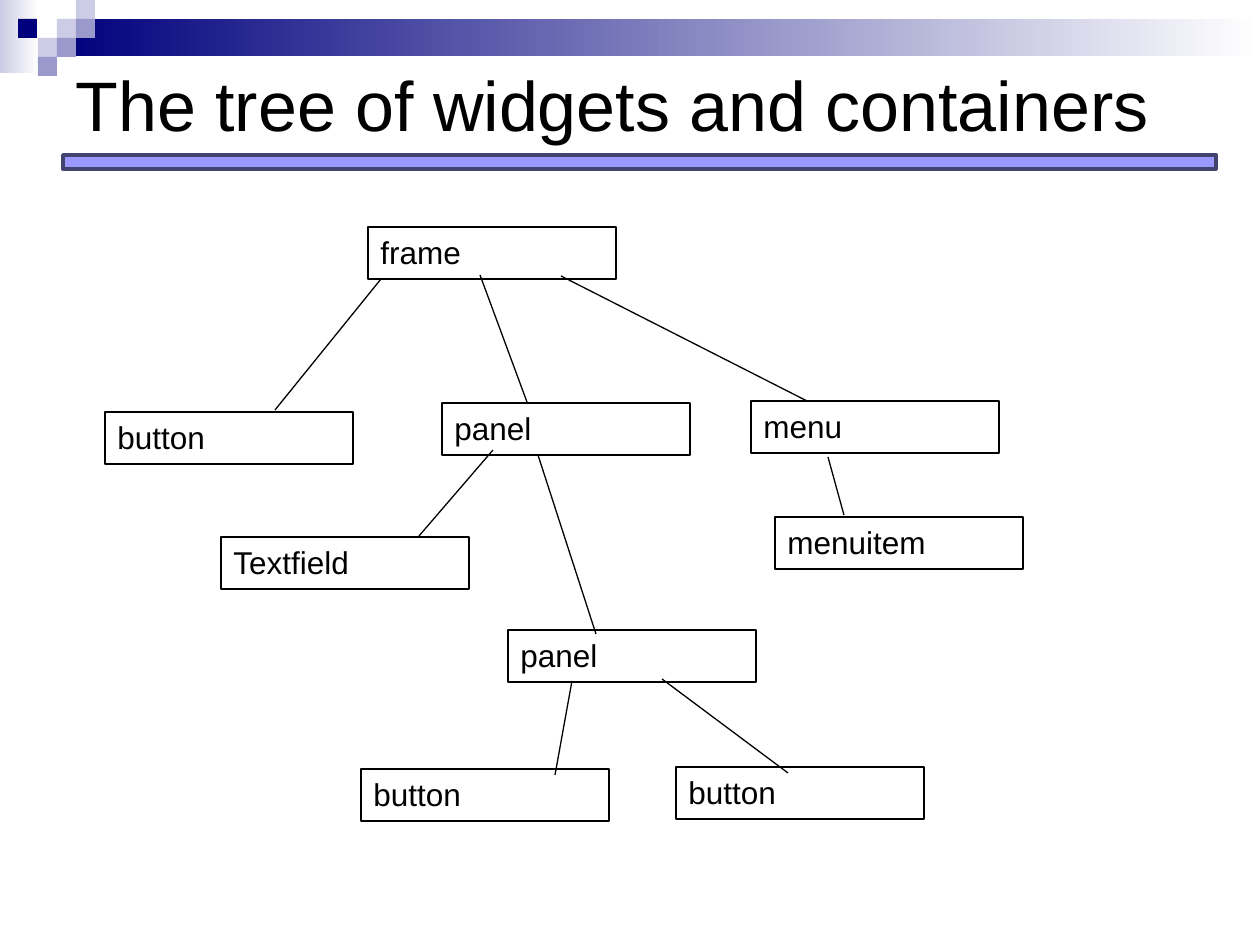
from lxml import etree
from pptx import Presentation
from pptx.dml.color import RGBColor
from pptx.enum.shapes import MSO_CONNECTOR, MSO_SHAPE
from pptx.enum.text import MSO_ANCHOR, MSO_AUTO_SIZE, PP_ALIGN
from pptx.oxml.ns import qn
from pptx.util import Emu, Pt

COLORS = {
    "black": "000000", "white": "FFFFFF", "navy": "00007D", "pale": "CCCCE6",
    "mid": "9999CC", "rule": "9999FF", "rule_edge": "434370",
}


def px(value):
    return Emu(round(value * 914400 / 126))


def add_box(left, top, width, height):
    shape = slide.shapes.add_shape(
        MSO_SHAPE.RECTANGLE, px(left), px(top), px(width), px(height))
    shape.shadow.inherit = False
    shape.fill.background()
    shape.line.fill.background()
    return shape


color = {name: RGBColor.from_string(value) for name, value in COLORS.items()}
presentation = Presentation()
presentation.slide_width, presentation.slide_height = px(1260), px(945)
slide = presentation.slides.add_slide(presentation.slide_layouts[5])

# Gradient bands at the top
for left, top, width, height, start in [
    (0, 0, 39, 73, "pale"),
    (57, 19, 1203, 37, "navy"),
]:
    band = add_box(left, top, width, height)
    band.fill.gradient()
    band.fill.gradient_angle = 0
    for stop, name, position in zip(band.fill.gradient_stops, (start, "white"), (0, 1)):
        stop.color.rgb = color[name]
        stop.position = position

# Checkered squares
for left, top, name in [
    (57, 19, "pale"), (76, 0, "pale"), (76, 19, "mid"), (38, 38, "pale"),
    (18, 19, "navy"), (57, 38, "mid"), (38, 57, "mid"),
]:
    square = add_box(left, top, 19, 19)
    square.fill.solid()
    square.fill.fore_color.rgb = color[name]

# Rule under the title
rule = add_box(63, 155, 1153, 14)
rule.fill.solid()
rule.fill.fore_color.rgb = color["rule"]
rule.line.color.rgb = color["rule_edge"]
rule.line.width = Pt(2)

# Title
title = slide.shapes.title
title.left, title.top, title.width, title.height = px(63), px(9), px(1134), px(189)
title.text_frame.auto_size = MSO_AUTO_SIZE.NONE
title.text_frame.vertical_anchor = MSO_ANCHOR.MIDDLE
texts = [(title, "The tree of widgets and containers", 40)]

# Tree nodes
for left, top, label in [
    (508, 630, "panel"), (105, 412, "button"), (368, 227, "frame"),
    (676, 767, "button"), (221, 537, "Textfield"), (751, 401, "menu"),
    (442, 403, "panel"), (361, 769, "button"), (775, 517, "menuitem"),
]:
    node = add_box(left, top, 248, 52)
    node.line.color.rgb = color["black"]
    node.line.width = Pt(0.75)
    node.text_frame.word_wrap = True
    node.text_frame.vertical_anchor = MSO_ANCHOR.TOP
    node.text_frame.auto_size = MSO_AUTO_SIZE.SHAPE_TO_FIT_TEXT
    texts.append((node, label, 18))

# Title and node text
for shape, text, size in texts:
    paragraph = shape.text_frame.paragraphs[0]
    paragraph.alignment = PP_ALIGN.LEFT
    run = paragraph.add_run()
    run.text = text
    run.font.name = "Arial"
    run.font.size = Pt(size)
    run.font.color.rgb = color["black"]

# Branches from parent to child
for start_x, start_y, end_x, end_y in [
    (572, 681, 555, 775), (662, 679, 788, 773), (381, 279, 275, 410),
    (561, 276, 807, 401), (480, 275, 527, 402), (493, 450, 419, 536),
    (538, 455, 596, 634), (828, 457, 844, 515),
]:
    branch = slide.shapes.add_connector(
        MSO_CONNECTOR.STRAIGHT, px(start_x), px(start_y), px(end_x), px(end_y))
    branch.line.color.rgb = color["black"]
    branch.line.width = Pt(0.75)
    etree.SubElement(branch._element.spPr, qn("a:effectLst"))

presentation.save("out.pptx")
